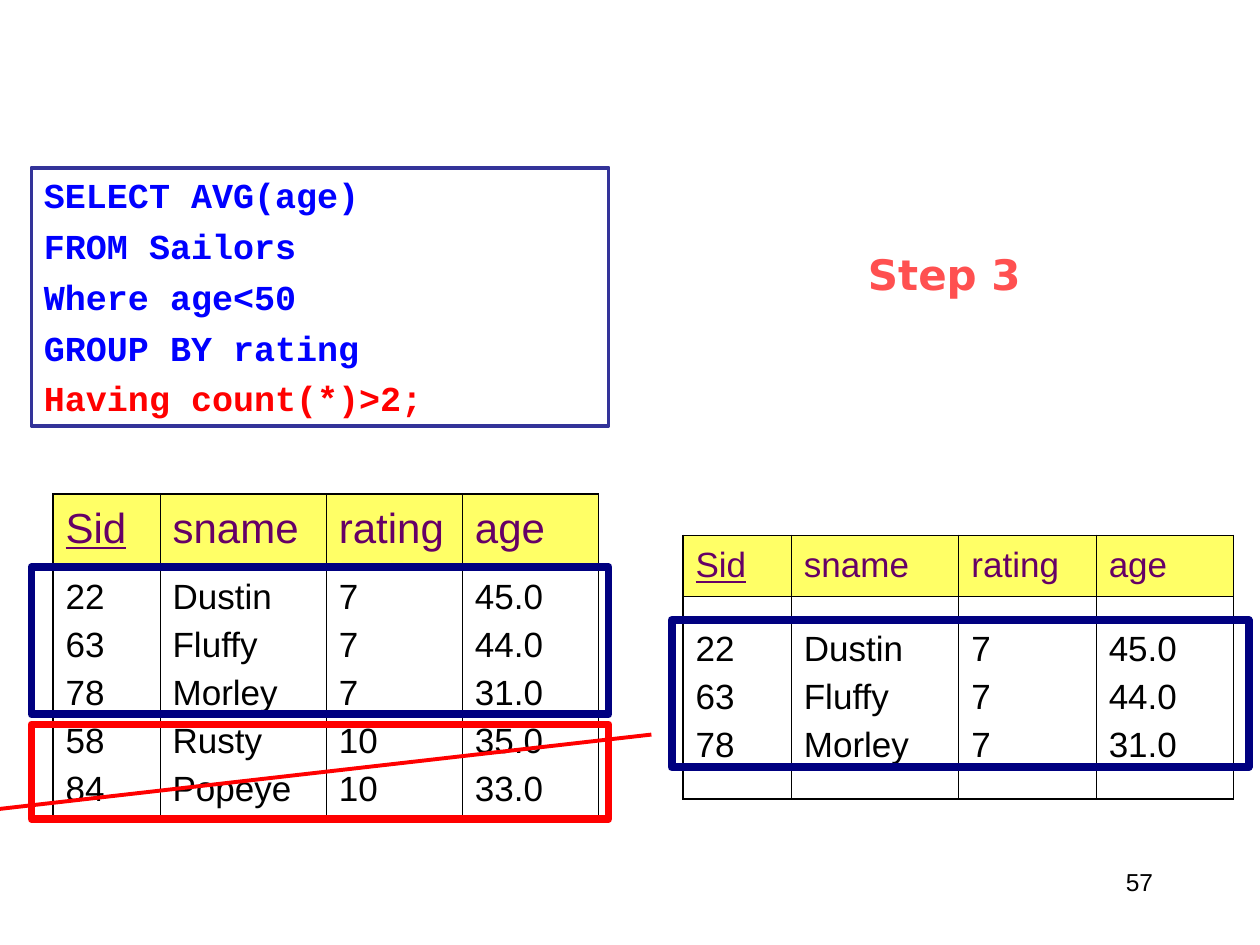
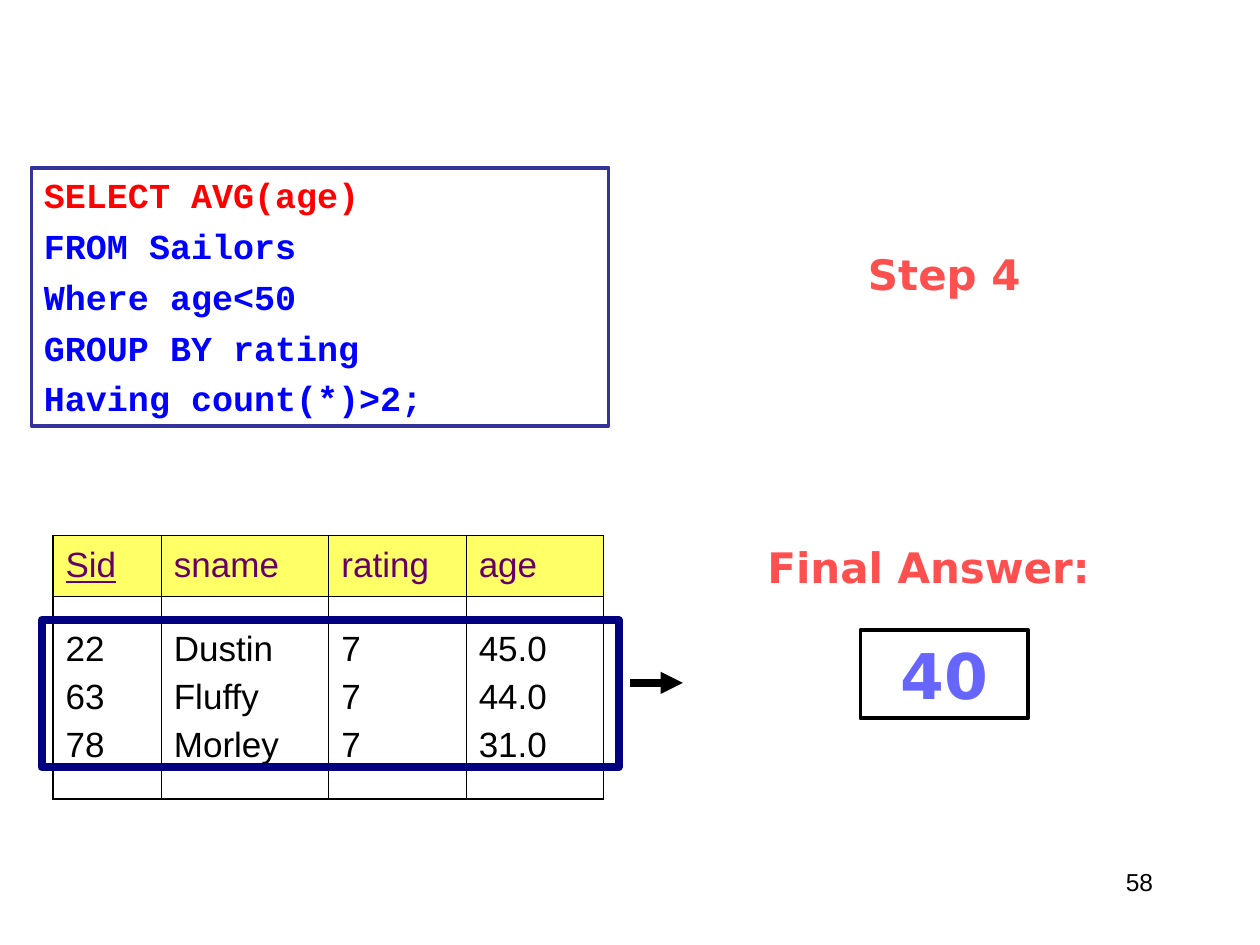
from lxml import etree
from pptx import Presentation
from pptx.dml.color import RGBColor
from pptx.enum.shapes import MSO_CONNECTOR, MSO_SHAPE
from pptx.enum.text import MSO_ANCHOR, MSO_AUTO_SIZE, PP_ALIGN
from pptx.oxml.ns import qn
from pptx.util import Inches, Pt

LEFT, CENTER, RIGHT = PP_ALIGN.LEFT, PP_ALIGN.CENTER, PP_ALIGN.RIGHT
TOP, MIDDLE = MSO_ANCHOR.TOP, MSO_ANCHOR.MIDDLE
RECTANGLE, STRAIGHT = MSO_SHAPE.RECTANGLE, MSO_CONNECTOR.STRAIGHT
GROW = MSO_AUTO_SIZE.SHAPE_TO_FIT_TEXT

BODY_FONT, CODE_FONT, LABEL_FONT = "Arial", "Courier New", "DejaVu Sans"
BLACK, WHITE, RED, BLUE = "000000", "FFFFFF", "FF0000", "0000FF"
NAVY, INDIGO, CORAL, VIOLET = "000080", "333399", "FF5050", "6666FF"
PURPLE, YELLOW = "660066", "FFFF66"
OUTER_BORDER, INNER_BORDER = 1.08, 0.45

QUERY = [
    "SELECT AVG(age)",
    "FROM Sailors",
    "Where age<50",
    "GROUP BY rating",
    "Having count(*)>2;",
]
HEADERS = ["Sid", "sname", "rating", "age"]
SAILORS = [
    ("22", "Dustin", "7", "45.0"),
    ("63", "Fluffy", "7", "44.0"),
    ("78", "Morley", "7", "31.0"),
    ("58", "Rusty", "10", "35.0"),
    ("84", "Popeye", "10", "33.0"),
]
KEPT_SAILORS = SAILORS[:3]
ALL_COLS, ALL_ROWS = [0.85, 1.32, 1.08, 1.08], [0.56, 2.04]
KEPT_COLS, KEPT_ROWS = [0.86, 1.33, 1.09, 1.09], [0.48, 1.61]


def rgb(color):
    return RGBColor.from_string(color)


def write(tf, text, *, size=20, font=BODY_FONT, color=BLACK, bold=False,
          underline=False, align=LEFT, before=0, highlight=None):
    """Write one paragraph per line; the line equal to highlight turns red."""
    tf.word_wrap = True
    for i, line in enumerate(text.split("\n")):
        p = tf.add_paragraph() if i else tf.paragraphs[0]
        p.alignment = align
        p.space_before = Pt(before)
        r = p.add_run()
        r.text = line
        r.font.name = font
        r.font.size = Pt(size)
        r.font.bold = bold
        r.font.underline = underline
        r.font.color.rgb = rgb(RED if line == highlight else color)


def set_borders(cell, widths):
    """Draw black borders, with widths in points in the order L, R, T, B."""
    tc_pr = cell._tc.get_or_add_tcPr()
    for i, (side, width) in enumerate(zip("LRTB", widths)):
        ln = etree.Element(qn(f"a:ln{side}"), w=str(Pt(width)))
        fill = etree.SubElement(ln, qn("a:solidFill"))
        etree.SubElement(fill, qn("a:srgbClr"), val=BLACK)
        tc_pr.insert(i, ln)


class Deck:
    def __init__(self):
        self.prs = Presentation()
        self.prs.slide_width, self.prs.slide_height = Inches(10), Inches(7.5)
        self.s = None

    def start_slide(self, number, step):
        self.s = self.prs.slides.add_slide(self.prs.slide_layouts[6])
        self.text(7.17, 6.83, 2.08, 0.5, str(number), size=14, align=RIGHT)
        self.label(6.08, 1.92, 2.83, step)

    def text(self, x, y, w, h, text, **style):
        sp = self.s.shapes.add_textbox(Inches(x), Inches(y), Inches(w), Inches(h))
        write(sp.text_frame, text, **style)
        return sp

    def label(self, x, y, w, text):
        sp = self.text(x, y, w, 0.5, text, size=24, font=LABEL_FONT,
                       color=CORAL, bold=True, align=CENTER, before=15)
        sp.text_frame.auto_size = GROW

    def box(self, x, y, w, h, line, width, fill=None, text=None, **style):
        sp = self.s.shapes.add_shape(RECTANGLE, Inches(x), Inches(y), Inches(w), Inches(h))
        sp.shadow.inherit = False
        sp.line.color.rgb = rgb(line)
        sp.line.width = Pt(width)
        if fill:
            sp.fill.solid()
            sp.fill.fore_color.rgb = rgb(fill)
        else:
            sp.fill.background()
        if text:
            sp.text_frame.vertical_anchor = TOP
            sp.text_frame.auto_size = GROW
            write(sp.text_frame, text, **style)

    def group_frame(self, x, y, h, color):
        self.box(x, y, 4.58, h, color, 4.5)

    def query(self, highlight):
        self.box(0.25, 1.33, 4.58, 2.05, INDIGO, 2.25, WHITE, "\n".join(QUERY),
                 font=CODE_FONT, color=BLUE, bold=True, before=5, highlight=highlight)

    def line(self, x1, y1, x2, y2, color, width, arrow=False):
        c = self.s.shapes.add_connector(STRAIGHT, Inches(x1), Inches(y1),
                                        Inches(x2), Inches(y2))
        c.line.color.rgb = rgb(color)
        c.line.width = Pt(width)
        if arrow:
            etree.SubElement(c.line._get_or_add_ln(), qn("a:tailEnd"), type="triangle")
        etree.SubElement(c._element.spPr, qn("a:effectLst"))

    def table(self, x, y, cols, rows, sailors, header_size=20, header_before=5):
        """Add a header row and one tall row that stacks all sailors."""
        frame = self.s.shapes.add_table(2, len(cols), Inches(x), Inches(y),
                                        Inches(sum(cols)), Inches(sum(rows)))
        table = frame.table
        table.first_row = table.horz_banding = False
        for row, height in zip(table.rows, rows):
            row.height = Inches(height)
        for i, (header, values) in enumerate(zip(HEADERS, zip(*sailors))):
            table.columns[i].width = Inches(cols[i])
            head, body = table.cell(0, i), table.cell(1, i)
            head.fill.solid()
            head.fill.fore_color.rgb = rgb(YELLOW)
            body.fill.background()
            write(head.text_frame, header, size=header_size, color=PURPLE,
                  underline=i == 0, before=header_before)
            write(body.text_frame, "\n".join(values), before=5)
            left = OUTER_BORDER if i == 0 else INNER_BORDER
            right = OUTER_BORDER if i == len(cols) - 1 else INNER_BORDER
            set_borders(head, (left, right, OUTER_BORDER, INNER_BORDER))
            set_borders(body, (left, right, INNER_BORDER, OUTER_BORDER))
            head.vertical_anchor = body.vertical_anchor = MIDDLE

    def kept_table(self, x):
        self.table(x, 4.25, KEPT_COLS, KEPT_ROWS, KEPT_SAILORS)
        self.group_frame(x - 0.09, 4.92, 1.17, NAVY)


def build_having_step(deck):
    deck.start_slide(57, "Step 3")
    deck.table(0.42, 3.92, ALL_COLS, ALL_ROWS, SAILORS, header_size=24, header_before=6)
    deck.group_frame(0.25, 4.5, 1.17, NAVY)
    deck.group_frame(0.25, 5.75, 0.75, RED)
    deck.query(highlight=QUERY[-1])
    deck.line(0, 6.42, 5.17, 5.83, RED, 2.25)
    deck.kept_table(5.42)


def build_select_step(deck):
    deck.start_slide(58, "Step 4")
    deck.query(highlight=QUERY[0])
    deck.kept_table(0.42)
    deck.box(6.83, 5, 1.33, 0.7, BLACK, 2.25, text="40", size=36, font=LABEL_FONT,
             color=VIOLET, bold=True, align=CENTER, before=22.5)
    deck.label(5.83, 4.25, 3.08, "Final Answer:")
    deck.line(5, 5.42, 5.42, 5.42, BLACK, 4.25, arrow=True)


def main():
    deck = Deck()
    build_having_step(deck)
    build_select_step(deck)
    deck.prs.save("out.pptx")


if __name__ == "__main__":
    main()
